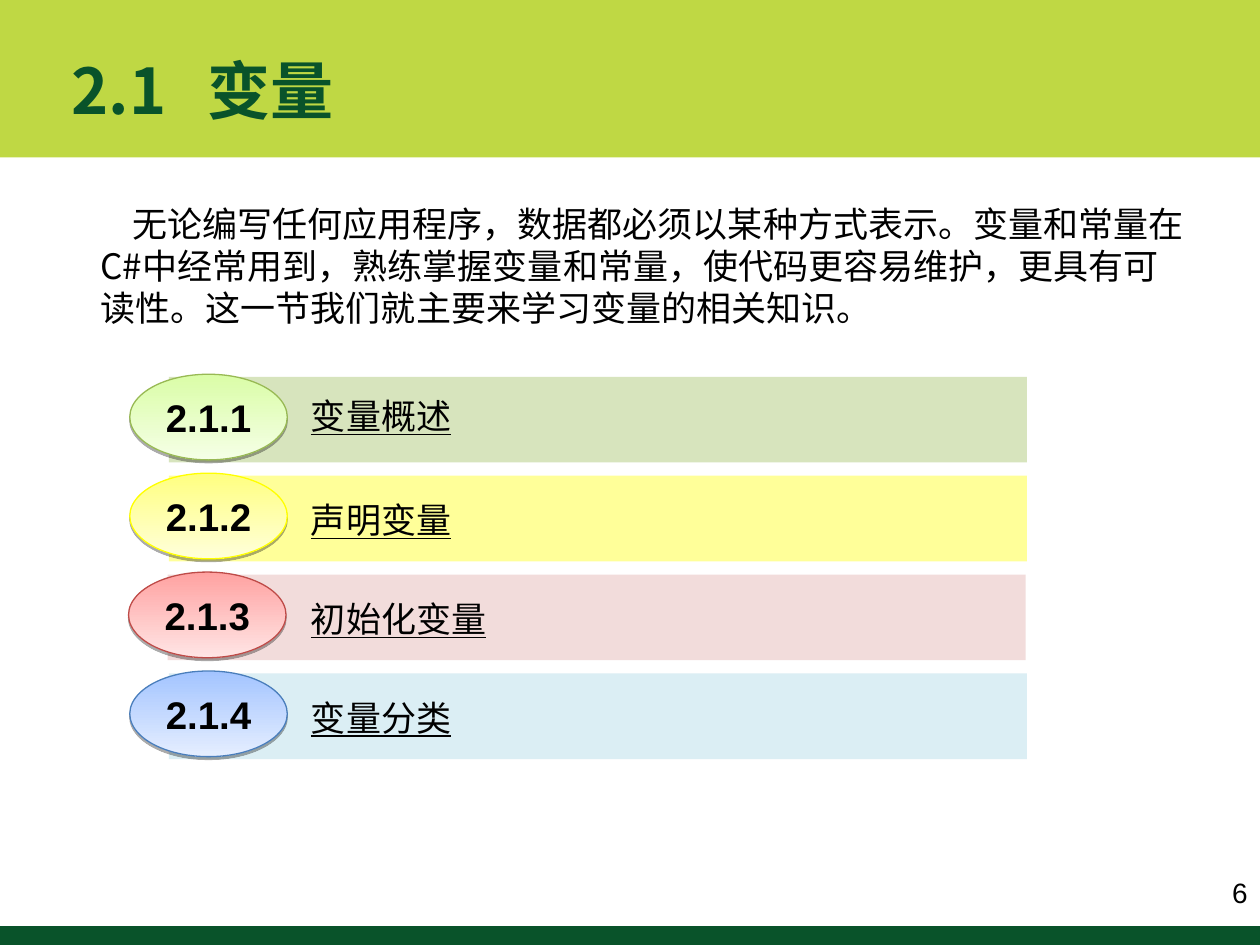
from dataclasses import dataclass

from lxml import etree
from pptx import Presentation
from pptx import util as u
from pptx.dml.color import RGBColor
from pptx.enum import shapes, text
from pptx.oxml import ns


@dataclass(frozen=True)
class Theme:
    band: str = "BFD844"
    dark: str = "09532A"
    ink: str = "000000"
    latin: str = "Arial"
    chinese: str = "Noto Sans CJK SC"
    title_size: int = 36
    number_size: int = 22
    body_size: int = 20
    page_size: int = 16


THEME = Theme()

# Number, topic, bar, oval top, oval bottom, oval outline, topic drop, shift
SECTIONS = [
    ("2.1.1", "变量概述", "D7E4BD", "DAFDA7", "F5FFE6", "98B954", 0.09, 0),
    ("2.1.2", "声明变量", "FFFF99", "FFFF80", "FFFFDA", "FFFF00", 0.13, 0),
    ("2.1.3", "初始化变量", "F2DCDB", "FFA2A1", "FFE5E5", "BE4B48", 0.13, -0.01),
    ("2.1.4", "变量分类", "DBEEF4", "A3C4FF", "E5EEFF", "4A7EBB", 0.13, 0),
]
FIRST_ROW, ROW_PITCH, ROW_HEIGHT = 2.99, 0.785, 0.68

INTRO = (
    "无论编写任何应用程序，数据都必须以某种方式表示。变量和常量在C#中经常用到，"
    "熟练掌握变量和常量，使代码更容易维护，更具有可读性。这一节我们就主要来学习变量的相关知识。"
)


def inches(*lengths):
    return [u.Inches(length) for length in lengths]


def style(paragraph, size, family, color=THEME.ink, bold=False, underline=False):
    font = paragraph.font
    font.size, font.name = u.Pt(size), family
    font.bold, font.underline = bold, underline
    font.color.rgb = RGBColor.from_string(color)
    latin = paragraph._p.pPr.find(".//" + ns.qn("a:latin"))
    east_asian = etree.Element(ns.qn("a:ea"), typeface=family)
    latin.addnext(east_asian)


def add_bar(parent, box, color):
    bar = parent.add_shape(shapes.MSO_SHAPE.RECTANGLE, *inches(*box))
    bar.shadow.inherit = False
    bar.fill.solid()
    bar.fill.fore_color.rgb = RGBColor.from_string(color)
    bar.line.fill.background()


def add_text(slide, box, wording, anchor=text.MSO_ANCHOR.TOP):
    frame = slide.shapes.add_textbox(*inches(*box)).text_frame
    frame.word_wrap = True
    frame.vertical_anchor = anchor
    paragraph = frame.paragraphs[0]
    paragraph.text = wording
    return paragraph


def add_drop_shadow(shape):
    shape.shadow.inherit = False
    effects = shape._element.spPr.find(ns.qn("a:effectLst"))
    shadow = etree.SubElement(
        effects, ns.qn("a:outerShdw"), blurRad="0", dist=str(u.Pt(1.6)),
        dir="5400000", rotWithShape="0")
    color = etree.SubElement(shadow, ns.qn("a:srgbClr"), val="000000")
    etree.SubElement(color, ns.qn("a:alpha"), val="33000")


def add_number_oval(parent, box, number, top_color, bottom_color, outline):
    oval = parent.add_shape(shapes.MSO_SHAPE.OVAL, *inches(*box))
    oval.fill.gradient()
    oval.fill.gradient_angle = 270
    for stop, color in zip(oval.fill.gradient_stops, (top_color, bottom_color)):
        stop.color.rgb = RGBColor.from_string(color)
    oval.line.color.rgb = RGBColor.from_string(outline)
    oval.line.width = u.Pt(0.75)
    add_drop_shadow(oval)
    frame = oval.text_frame
    frame.vertical_anchor = text.MSO_ANCHOR.MIDDLE
    paragraph = frame.paragraphs[0]
    paragraph.text = number
    paragraph.alignment = text.PP_ALIGN.CENTER
    style(paragraph, THEME.number_size, THEME.latin, bold=True)


def add_section(slide, row, section):
    number, topic, bar_color, top_color, bottom_color, outline, drop, shift = section
    top = FIRST_ROW + row * ROW_PITCH
    group = slide.shapes.add_group_shape().shapes
    add_bar(group, (1.34 + shift, top, 6.81, ROW_HEIGHT), bar_color)
    add_number_oval(group, (1.03 + shift, top - 0.02, 1.25, ROW_HEIGHT),
                    number, top_color, bottom_color, outline)
    label = add_text(slide, (2.37, top + drop, 3.44, 0.44), topic)
    style(label, THEME.body_size, THEME.chinese, underline=True)


def add_title(slide):
    title = add_text(slide, (0.47, 0.23, 6.8, 0.95), "2.1\t变量",
                     text.MSO_ANCHOR.MIDDLE)
    tabs = etree.SubElement(title._p.get_or_add_pPr(), ns.qn("a:tabLst"))
    etree.SubElement(tabs, ns.qn("a:tab"), pos=str(u.Inches(1.08)), algn="l")
    style(title, THEME.title_size, THEME.chinese, THEME.dark, bold=True)


def add_intro(slide):
    intro = add_text(slide, (0.7, 1.56, 8.83, 1.1), INTRO)
    intro._p.get_or_add_pPr().set("indent", str(u.Inches(0.25)))
    style(intro, THEME.body_size, THEME.chinese)


def add_page_number(slide):
    page = add_text(slide, (9.25, 6.9, 0.75, 0.37), "6")
    page.alignment = text.PP_ALIGN.RIGHT
    style(page, THEME.page_size, THEME.latin)


def main():
    deck = Presentation()
    deck.slide_width, deck.slide_height = inches(10, 7.5)
    slide = deck.slides.add_slide(deck.slide_layouts[6])

    # Header and footer bands
    add_bar(slide.shapes, (0, 0, 10, 1.25), THEME.band)
    add_bar(slide.shapes, (0, 7.35, 10, 0.15), THEME.dark)
    add_page_number(slide)

    # Title and introduction
    add_title(slide)
    add_intro(slide)

    # Section list
    for row, section in enumerate(SECTIONS):
        add_section(slide, row, section)

    deck.save("out.pptx")


if __name__ == "__main__":
    main()
